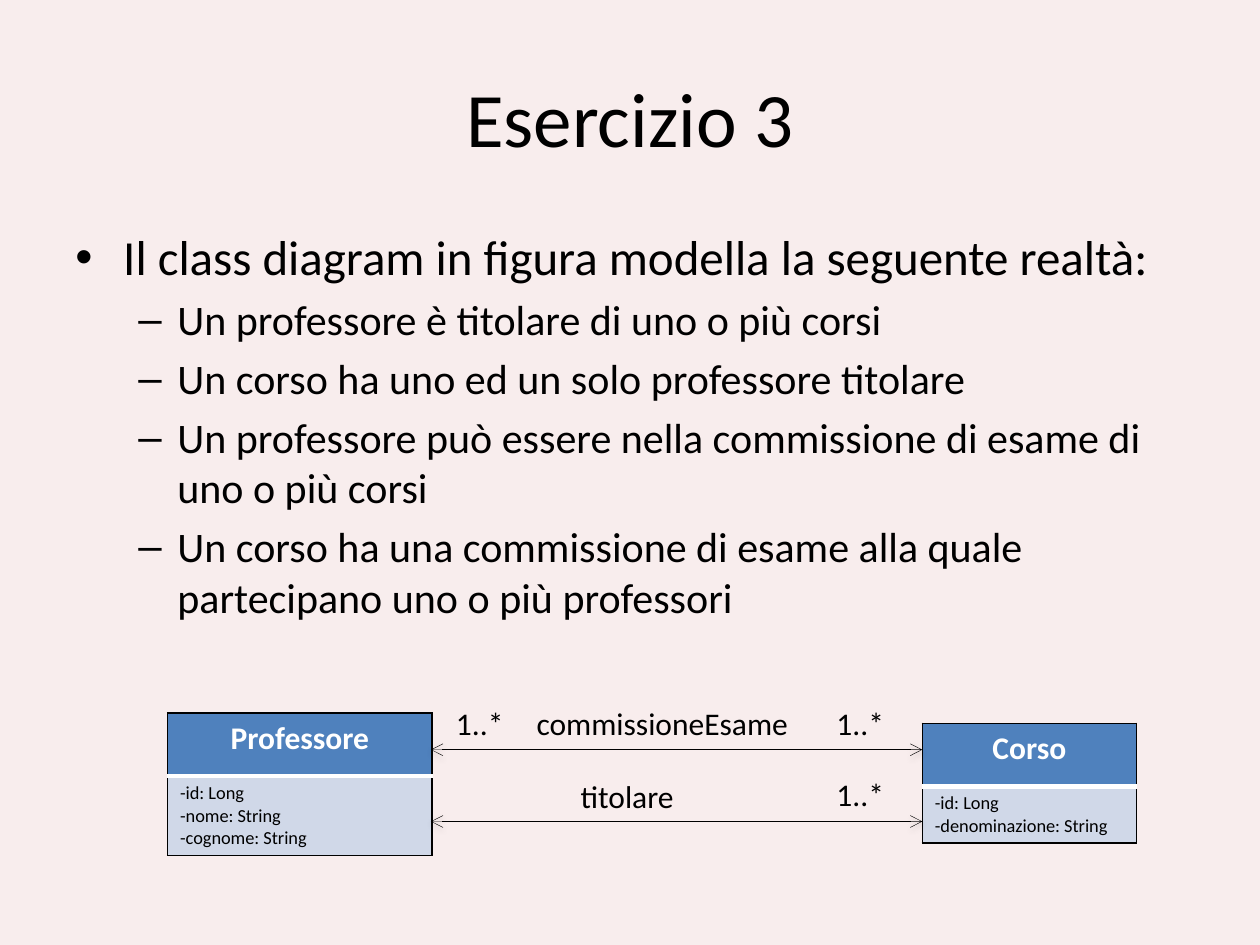
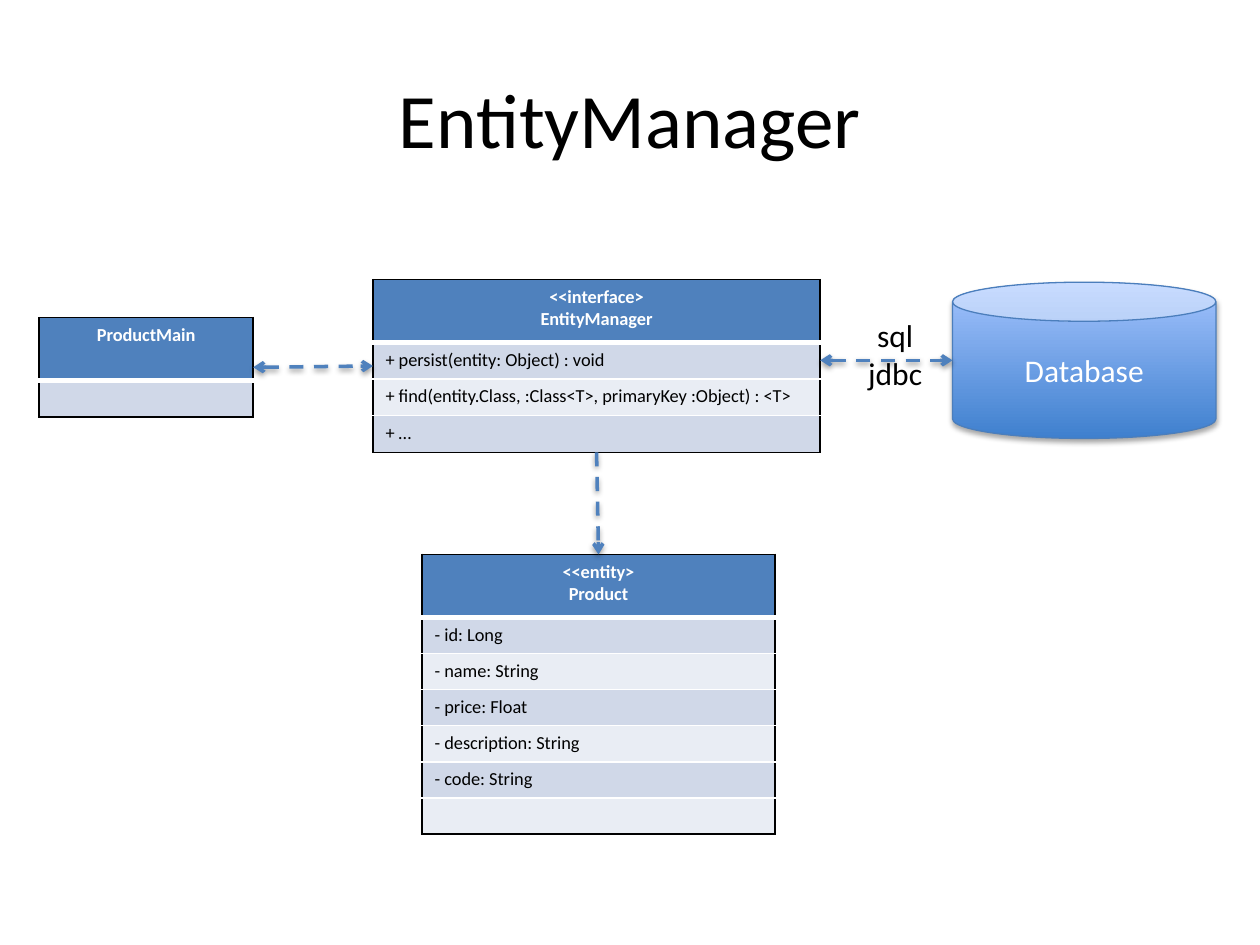
from lxml import etree
from pptx import Presentation
from pptx.dml.color import RGBColor
from pptx.enum.dml import MSO_LINE
from pptx.enum.shapes import MSO_CONNECTOR, MSO_SHAPE
from pptx.enum.text import MSO_ANCHOR, PP_ALIGN
from pptx.oxml import parse_xml
from pptx.oxml.ns import nsdecls, qn
from pptx.util import Inches, Pt

CENTER, LEFT = PP_ALIGN.CENTER, PP_ALIGN.LEFT
MIDDLE = MSO_ANCHOR.MIDDLE
DASH = MSO_LINE.DASH
STRAIGHT = MSO_CONNECTOR.STRAIGHT
CAN = MSO_SHAPE.CAN

BLACK = RGBColor(0x00, 0x00, 0x00)
WHITE = RGBColor(0xFF, 0xFF, 0xFF)
PINK = RGBColor(0xF8, 0xED, 0xED)
BLUE = RGBColor(0x4F, 0x81, 0xBD)
BAND_DARK = RGBColor(0xD0, 0xD8, 0xE8)
BAND_LIGHT = RGBColor(0xE9, 0xED, 0xF4)
CAN_BOTTOM = RGBColor(0x3F, 0x80, 0xCE)
CAN_TOP = RGBColor(0xA4, 0xC4, 0xFF)
CAN_LINE = RGBColor(0x4B, 0x7E, 0xBC)
FONT = "Calibri"
SMALL = 10.5

SHADOW = (
    "<a:effectLst %s><a:outerShdw blurRad='40000' dist='%d' dir='5400000' rotWithShape='0'>"
    "<a:srgbClr val='000000'><a:alpha val='%d'/></a:srgbClr></a:outerShdw></a:effectLst>"
)

prs = Presentation()
prs.slide_width, prs.slide_height = Inches(10), Inches(7.5)
COL = prs.slide_width / 100
ROW = prs.slide_height / 75


def grid(x, y, w, h):
    return [round(v) for v in (x * COL, y * ROW, w * COL, h * ROW)]


def write(tf, text, size=18, color=BLACK, bold=False, align=LEFT, bullet=None, margin=0, hang=0, before=0):
    for line in text.split("\n"):
        p = tf.paragraphs[0]
        if p.runs:
            p = tf.add_paragraph()
            p.space_before = Pt(before)
        p.alignment = align
        if bullet:
            pPr = p._p.get_or_add_pPr()
            pPr.set("marL", str(Inches(margin)))
            pPr.set("indent", str(-Inches(hang)))
            etree.SubElement(pPr, qn("a:buFont")).set("typeface", "Arial")
            etree.SubElement(pPr, qn("a:buChar")).set("char", bullet)
        if not line:
            p._p.get_or_add_endParaRPr().set("sz", str(round(size * 100)))
            continue
        r = p.add_run()
        r.text = line
        r.font.name, r.font.size, r.font.bold = FONT, Pt(size), bold
        r.font.color.rgb = color


exercise, manager = [prs.slides.add_slide(prs.slide_layouts[6]) for _ in range(2)]

for s, title, top, background in [(exercise, "Esercizio 3", 3, PINK), (manager, "EntityManager", 3.1, WHITE)]:
    s.background.fill.solid()
    s.background.fill.fore_color.rgb = background
    tf = s.shapes.add_textbox(*grid(5, top, 90, 12.5)).text_frame
    tf.word_wrap = True
    tf.vertical_anchor = MIDDLE
    write(tf, title, size=44, align=CENTER)

tf = exercise.shapes.add_textbox(*grid(5, 17.5, 90, 34.2)).text_frame
tf.word_wrap = True
write(tf, "Il class diagram in figura modella la seguente realtà:", size=28, bullet="•", margin=0.38, hang=0.38)
for point in [
    "Un professore è titolare di uno o più corsi",
    "Un corso ha uno ed un solo professore titolare",
    "Un professore può essere nella commissione di esame di uno o più corsi",
    "Un corso ha una commissione di esame alla quale partecipano uno o più professori",
]:
    write(tf, point, size=24, bullet="–", margin=0.81, hang=0.31, before=4.8)

HEADER = 5
classes = [
    (exercise, (13.3, 56.6, 21, 11.3), 18, ["Professore", "-id: Long\n-nome: String\n-cognome: String"]),
    (exercise, (73.2, 57.4, 17, 9.5), 18, ["Corso", "-id: Long\n-denominazione: String"]),
    (manager, (33.5, 44, 28, 22.2), SMALL, [
        "<<entity>\nProduct", "- id: Long", "- name: String", "- price: Float",
        "- description: String", "- code: String", ""]),
    (manager, (3.1, 25.2, 17, 7.9), SMALL, ["ProductMain", ""]),
    (manager, (29.6, 22.2, 35.5, 13.7), SMALL, [
        "<<interface>\nEntityManager", "+ persist(entity: Object) : void",
        "+ find(entity.Class, :Class<T>, primaryKey :Object) : <T>", "+ …"]),
]
frames = {}
for s, area, head_size, texts in classes:
    frame = s.shapes.add_table(len(texts), 1, *grid(*area))
    frames[texts[0]] = frame
    table = frame.table
    table.horz_banding = False
    last = len(texts) - 1
    for i, text in enumerate(texts):
        table.rows[i].height = round((HEADER if i == 0 else (area[3] - HEADER) / last) * ROW)
        cell = table.cell(i, 0)
        tcPr = cell._tc.get_or_add_tcPr()
        top = (BLACK, 1) if i == 0 else (WHITE, 3 if i == 1 else 1)
        bottom = (BLACK, 1) if i == last else (WHITE, 3 if i == 0 else 1)
        for side, (color, width) in zip("LRTB", [(BLACK, 1), (BLACK, 1), top, bottom]):
            tcPr.append(parse_xml(
                f"<a:ln{side} {nsdecls('a')} w='{Pt(width)}'><a:solidFill>"
                f"<a:srgbClr val='{color}'/></a:solidFill></a:ln{side}>"))
        cell.fill.solid()
        if i == 0:
            cell.fill.fore_color.rgb = BLUE
            write(cell.text_frame, text, size=head_size, color=WHITE, bold=True, align=CENTER)
        else:
            cell.fill.fore_color.rgb = BAND_DARK if i % 2 else BAND_LIGHT
            write(cell.text_frame, text, size=SMALL)

database = manager.shapes.add_shape(CAN, *grid(75.6, 22.4, 20.9, 12.4))
database.fill.gradient()
database.fill.gradient_angle = 90
for stop, color in zip(database.fill.gradient_stops, [CAN_BOTTOM, CAN_TOP]):
    stop.color.rgb = color
database.line.color.rgb = CAN_LINE
database.line.width = Pt(0.75)
database._element.spPr.append(parse_xml(SHADOW % (nsdecls("a"), 23000, 35000)))
database.text_frame.vertical_anchor = MIDDLE
write(database.text_frame, "Database", color=WHITE, align=CENTER)

main, interface, entity = [frames[k] for k in ("ProductMain", "<<interface>\nEntityManager", "<<entity>\nProduct")]
links = [
    (exercise, (34.2, 59.5, 73.2, 59.5), None, True),
    (exercise, (34.2, 65.2, 73.2, 65.2), None, True),
    (manager, (65.1, 28.6, 75.6, 28.6), None, True),
    (manager, (47.3, 35.9, 47.4, 44), (interface, 2, entity, 0), False),
    (manager, (20, 29.1, 29.6, 29.1), (main, 3, interface, 1), True),
]
for s, ends, joins, both in links:
    link = s.shapes.add_connector(STRAIGHT, *grid(*ends))
    if joins:
        link.begin_connect(*joins[:2])
        link.end_connect(*joins[2:])
    link.line.color.rgb = BLACK if s is exercise else BLUE
    link.line.width = Pt(0.25 if s is exercise else 2)
    if s is manager:
        link.line.dash_style = DASH
    ln = link.line._get_or_add_ln()
    for tag in ["a:headEnd", "a:tailEnd"] if both else ["a:tailEnd"]:
        etree.SubElement(ln, qn(tag)).set("type", "arrow")
    link._element.spPr.append(parse_xml(SHADOW % (nsdecls("a"), 20000, 38000)))

labels = [
    (exercise, (65.4, 55.4, 5.8, 4), "1..*", LEFT),
    (exercise, (35.2, 55.4, 5.8, 4), "1..*", LEFT),
    (exercise, (45.1, 61.2, 9.5, 4), "titolare", LEFT),
    (exercise, (41.6, 55.4, 22.2, 4), "commissioneEsame", LEFT),
    (exercise, (65.4, 61, 5.8, 4), "1..*", LEFT),
    (manager, (67.9, 24.6, 6.3, 7.1), "sql\njdbc", CENTER),
]
for s, area, text, align in labels:
    tf = s.shapes.add_textbox(*grid(*area)).text_frame
    tf.word_wrap = False
    write(tf, text, align=align)

prs.save("out.pptx")
